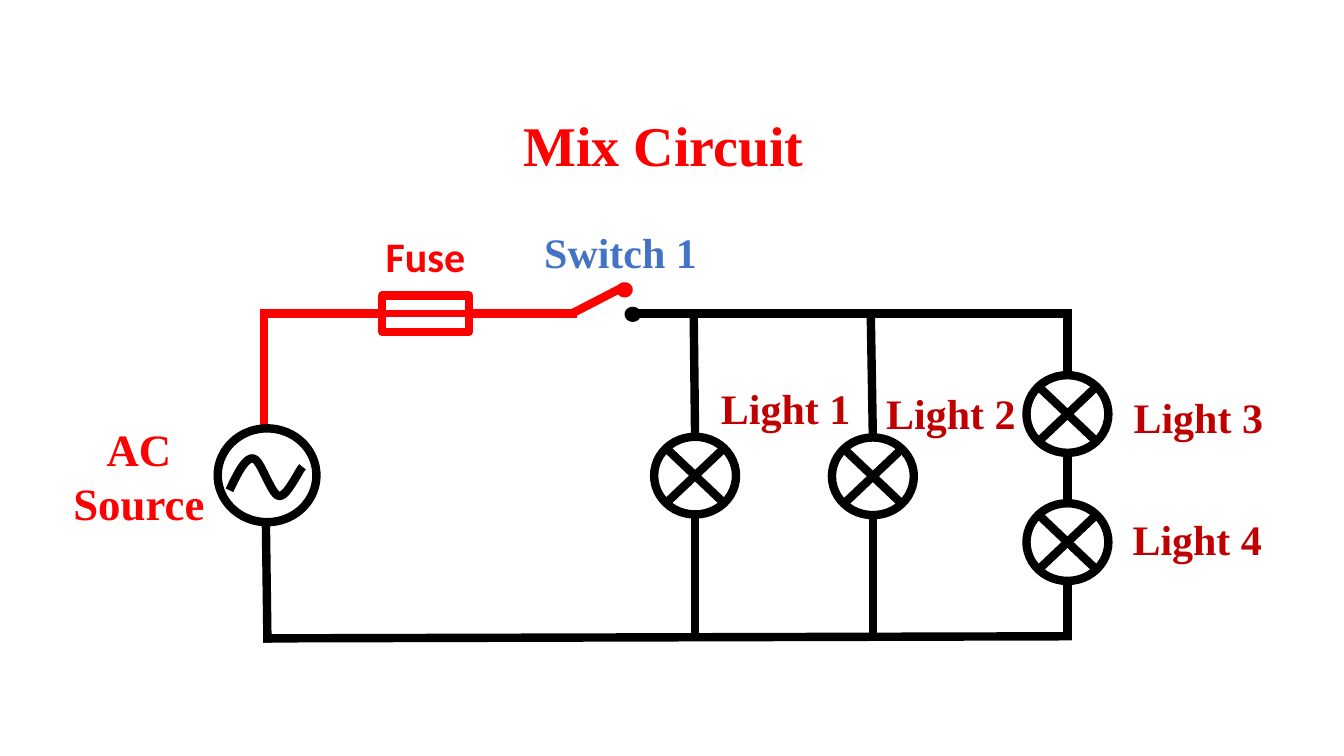
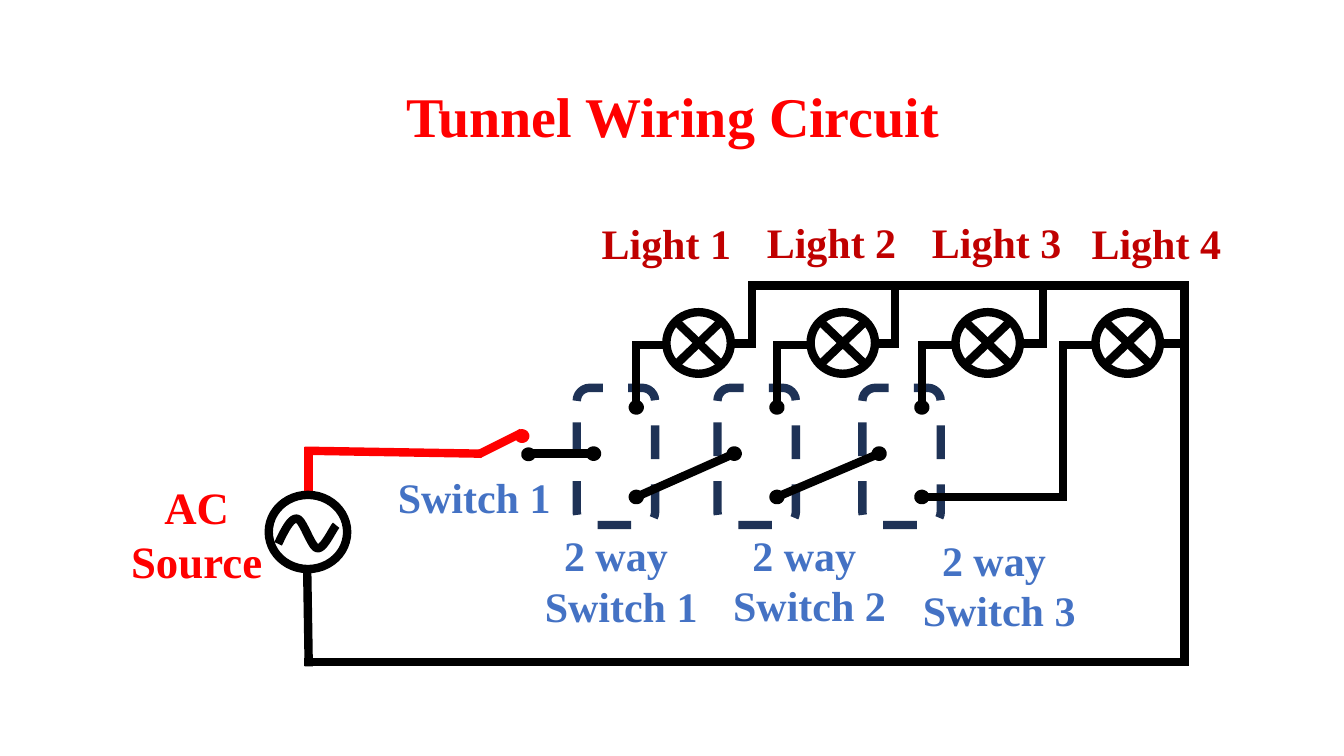
from dataclasses import dataclass
from itertools import pairwise

from lxml.etree import SubElement
from pptx import Presentation
from pptx.dml.color import RGBColor
from pptx.enum.dml import MSO_LINE
from pptx.enum.shapes import MSO_CONNECTOR, MSO_SHAPE
from pptx.enum.text import MSO_ANCHOR, MSO_AUTO_SIZE, PP_ALIGN
from pptx.oxml.ns import qn
from pptx.util import Pt


@dataclass(frozen=True)
class Theme:
    paper: RGBColor = RGBColor(0xFF, 0xFF, 0xFF)
    neutral: RGBColor = RGBColor(0, 0, 0)
    live: RGBColor = RGBColor(0xFF, 0, 0)
    lamp: RGBColor = RGBColor(0xC0, 0, 0)
    switch: RGBColor = RGBColor(0x44, 0x72, 0xC4)
    casing: RGBColor = RGBColor(0x1E, 0x32, 0x56)
    serif: str = "Times New Roman"
    sans: str = "Calibri"
    title_size: float = 40
    source_size: float = 32
    label_size: float = 30
    wire_width: float = 6
    fuse_width: float = 4.5


@dataclass(frozen=True)
class Box:
    left: float
    top: float
    width: float
    height: float

    def inner(self, x, y, width, height):
        return Box(self.left + x, self.top + y, width, height)

    def point(self, x, y):
        return Pt(self.left + x), Pt(self.top + y)

    def fraction(self, across, down):
        return self.point(across * self.width, down * self.height)

    def frame(self):
        return Pt(self.left), Pt(self.top), Pt(self.width), Pt(self.height)


THEME = Theme()
WAVE = [
    ((0.12, 0.66), (0.2, 0.48), (0.28, 0.31), (0.36, 0.32)),
    ((0.36, 0.32), (0.44, 0.33), (0.54, 0.71), (0.62, 0.72)),
    ((0.62, 0.72), (0.7, 0.74), (0.82, 0.45), (0.86, 0.41)),
]
WAVE_STEPS = 10


def paint(shape, fill, outline):
    shape.shadow.inherit = False
    shape.fill.solid()
    shape.fill.fore_color.rgb = fill
    shape.line.color.rgb = outline
    shape.line.width = Pt(THEME.wire_width)
    return shape


def symbol(slide, box, kind, outline, fill=THEME.paper):
    return paint(slide.shapes.add_shape(kind, *box.frame()), fill, outline)


def stroke(slide, start, end, color=THEME.neutral, width=THEME.wire_width, cap="flat"):
    line = slide.shapes.add_connector(MSO_CONNECTOR.STRAIGHT, *start, *end)
    line.line.color.rgb = color
    line.line.width = Pt(width)
    properties = line._element.spPr
    properties.find(qn("a:ln")).set("cap", cap)
    SubElement(properties, qn("a:effectLst"))
    return line


def wire(slide, box, *corners, color=THEME.neutral):
    for start, end in pairwise(corners):
        stroke(slide, box.point(*start), box.point(*end), color, cap="sq")


def write(slide, box, text, color, size=THEME.label_size, font=THEME.serif,
          spacing=None, fit=MSO_AUTO_SIZE.SHAPE_TO_FIT_TEXT):
    frame = slide.shapes.add_textbox(*box.frame()).text_frame
    layout = {"word_wrap": True, "auto_size": fit, "vertical_anchor": MSO_ANCHOR.TOP}
    for name, value in layout.items():
        setattr(frame, name, value)
    frame.text = text
    for paragraph in frame.paragraphs:
        paragraph.alignment = PP_ALIGN.CENTER
        if spacing:
            paragraph.line_spacing = spacing
        for run in paragraph.runs:
            for name, value in {"name": font, "size": Pt(size), "bold": True}.items():
                setattr(run.font, name, value)
            run.font.color.rgb = color


def title(slide, box, text):
    write(slide, box, text, THEME.live, THEME.title_size,
          spacing=0.9, fit=MSO_AUTO_SIZE.NONE)


def lamp(slide, box):
    symbol(slide, box, MSO_SHAPE.OVAL, THEME.neutral)
    near, far = 0.17, 0.83
    stroke(slide, box.fraction(near, near), box.fraction(far, far))
    stroke(slide, box.fraction(near, far), box.fraction(far, near))


def dot(slide, box, x, y, color=THEME.neutral, width=5, height=4.5):
    spot = box.inner(x - width / 2, y - height / 2, width, height)
    symbol(slide, spot, MSO_SHAPE.OVAL, color, THEME.neutral)


def wave_points(box):
    for a, b, c, d in WAVE:
        for step in range(1, WAVE_STEPS + 1):
            t = step / WAVE_STEPS
            weights = ((1 - t) ** 3, 3 * t * (1 - t) ** 2, 3 * t * t * (1 - t), t ** 3)
            yield box.fraction(*(sum(w * p[axis] for w, p in zip(weights, (a, b, c, d)))
                                 for axis in (0, 1)))


def ac_source(slide, box):
    symbol(slide, box, MSO_SHAPE.OVAL, THEME.neutral)
    builder = slide.shapes.build_freeform(*box.fraction(*WAVE[0][0]))
    builder.add_line_segments(list(wave_points(box)), close=False)
    paint(builder.convert_to_shape(), THEME.paper, THEME.neutral)


def open_switch(slide, box):
    tip = 0.87 * box.width
    size = {"width": 0.13 * box.width, "height": 0.11 * box.width}
    stroke(slide, box.point(0, box.height), box.point(tip, 0), THEME.live)
    dot(slide, box, tip, 2.5, THEME.live, **size)
    dot(slide, box, box.width, box.height, **size)


def fuse(slide, box):
    body = symbol(slide, box, MSO_SHAPE.RECTANGLE, THEME.live)
    core = stroke(slide, box.fraction(0, 0.5), box.fraction(1, 0.5),
                  THEME.live, THEME.fuse_width)
    core.begin_connect(body, 1)
    core.end_connect(body, 3)


def two_way_switch(slide, box):
    case = symbol(slide, box, MSO_SHAPE.ROUNDED_RECTANGLE, THEME.casing)
    case.line.dash_style = MSO_LINE.DASH
    for x, y in ((12, 47), (42.5, 78), (42.5, 14)):
        dot(slide, box, x, y)


def mix_circuit(slide, box):
    top_rail, bottom_rail = 74, 304.5
    lamp_width, lamp_height = 58.5, 55.5

    wire(slide, box, (148.5, 151), (148.5, top_rail), (369, top_rail), color=THEME.live)
    wire(slide, box, (150, 228), (151, 306), (722.5, bottom_rail))
    wire(slide, box, (419, top_rail), (722.5, top_rail))
    ac_source(slide, box.inner(115.5, 156, 70.5, 67))
    open_switch(slide, box.inner(367.5, 54.5, 44.5, 20))
    fuse(slide, box.inner(233, 61, 62, 26))

    branches = [(455.5, 456.5, [162]), (582, 583.5, [162.5]), (722.5, 722.5, [118, 209.5])]
    for x, lamp_x, lamp_tops in branches:
        y = top_rail
        for lamp_top in lamp_tops:
            wire(slide, box, (x, y), (lamp_x, lamp_top))
            lamp(slide, box.inner(lamp_x - lamp_width / 2, lamp_top, lamp_width, lamp_height))
            x, y = lamp_x, lamp_top + lamp_height
        wire(slide, box, (x, y), (x, bottom_rail))

    write(slide, box.inner(3, 147.5, 112.5, 85), "AC\nSource", THEME.live, THEME.source_size)
    write(slide, box.inner(224, 11.5, 80, 44), "Fuse", THEME.live, font=THEME.sans)
    write(slide, box.inner(333, 8.5, 140.5, 44), "Switch 1", THEME.switch)
    places = [(462.5, 119.5, 117.5), (582, 123, 114.5), (755.5, 126, 121), (754, 213.5, 122.5)]
    for number, (x, y, width) in enumerate(places, 1):
        write(slide, box.inner(x, y, width, 44), f"Light {number}", THEME.lamp)


def tunnel_circuit(slide, box):
    bus, lead, exit_row = 54, 96.5, 95.5
    upper, common, lower = 141, 174, 205
    poles = [354, 454.5, 558]
    throws = [pole + 30.5 for pole in poles]
    lamp_lefts = [406, 509, 612.5, 712.5]
    lamp_width, lamp_height = 46, 44
    exits = [467, 569.5, 675, 776]
    last_riser = 689.5

    for pole in poles:
        two_way_switch(slide, box.inner(pole - 12, 127, 56, 98))

    wire(slide, box, (150.5, 199), (150.5, 172), (271, common), color=THEME.live)
    wire(slide, box, (exits[-1], exit_row), (exits[-1], 323), (150.5, 323), (149.5, 261))
    wire(slide, box, (exits[0], bus), (exits[-1], bus))
    wire(slide, box, (313, common), (poles[0] - 3, common))
    for throw, next_pole in zip(throws, poles[1:]):
        wire(slide, box, (throw, lower), (next_pole, common))

    feeds = [[(throw, upper), (throw, lead)] for throw in throws]
    feeds.append([(throws[-1], lower), (last_riser, lower), (last_riser, lead)])
    for feed, left, leave in zip(feeds, lamp_lefts, exits):
        wire(slide, box, *feed, (left, lead))
        wire(slide, box, (left + lamp_width, exit_row), (leave, exit_row), (leave, bus))
        lamp(slide, box.inner(left, 73, lamp_width, lamp_height))

    ac_source(slide, box.inner(122, 203.5, 56, 53))
    open_switch(slide, box.inner(272, 159, 35.5, 15.5))

    write(slide, box.inner(3.5, 189, 134, 85), "AC Source", THEME.live, THEME.source_size)
    write(slide, box.inner(193.5, 183.5, 150.5, 44), "Switch 1", THEME.switch)
    two_way_places = [(307.5, 225, 132.5), (434, 224.5, 148.5), (577.5, 228, 132.5)]
    for number, (x, y, width) in enumerate(two_way_places, 1):
        write(slide, box.inner(x, y, width, 80), f"2 way \nSwitch {number}", THEME.switch)
    light_places = [(348.5, 2, 115), (466.5, 1, 115), (582.5, 1, 119), (696, 2, 120)]
    for number, (x, y, width) in enumerate(light_places, 1):
        write(slide, box.inner(x, y, width, 44), f"Light {number}", THEME.lamp)


def main():
    deck = Presentation()
    deck.slide_width, deck.slide_height = Pt(960), Pt(540)
    pages = [
        ("Mix Circuit", Box(153.5, 80.5, 641, 58), mix_circuit, Box(40, 150, 880, 312)),
        ("Tunnel Wiring Circuit", Box(160, 60.5, 641, 58), tunnel_circuit,
         Box(70, 150, 820, 330)),
    ]
    for heading, heading_box, circuit, circuit_box in pages:
        slide = deck.slides.add_slide(deck.slide_layouts[6])
        title(slide, heading_box, heading)
        circuit(slide, circuit_box)
    deck.save("out.pptx")


if __name__ == "__main__":
    main()
